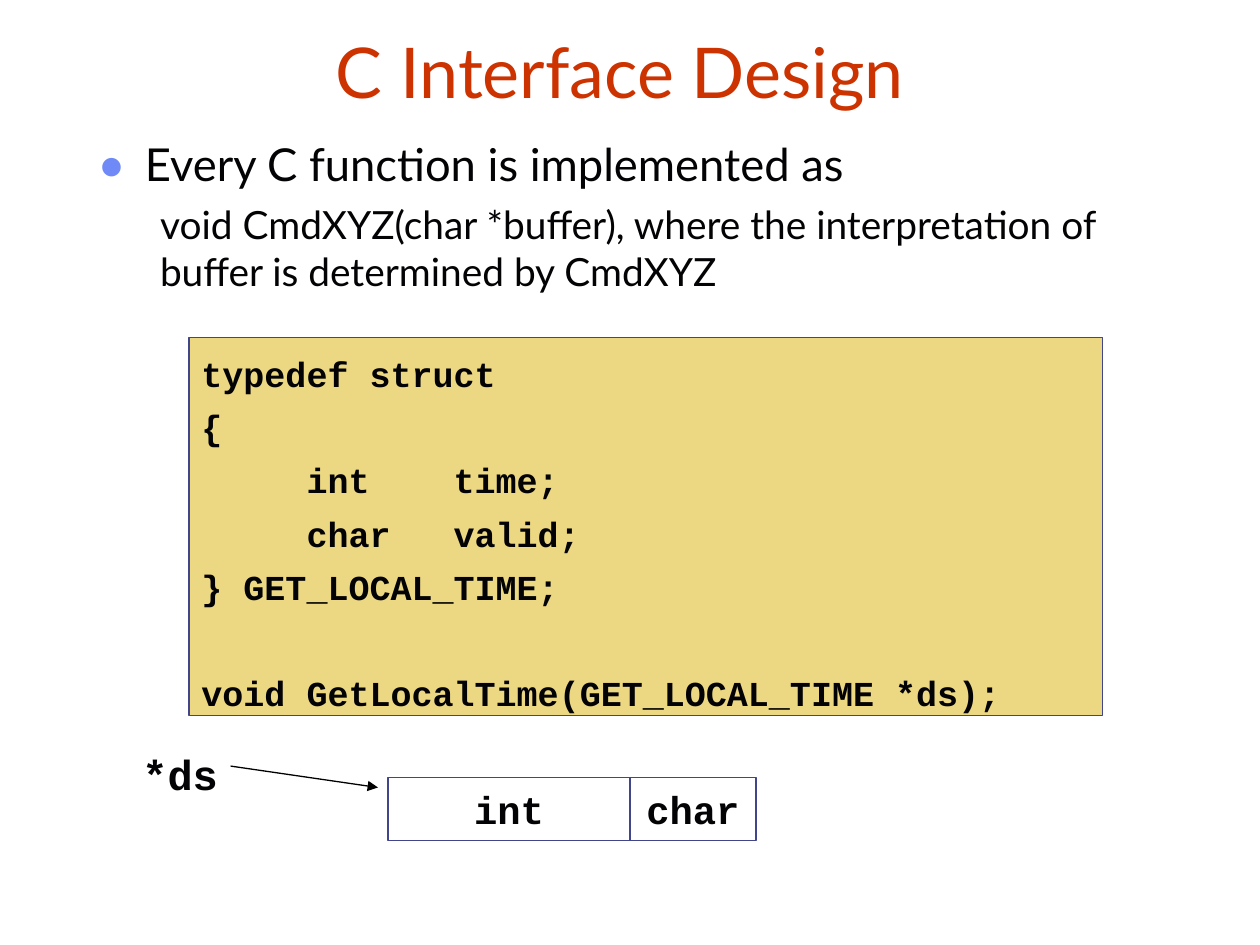
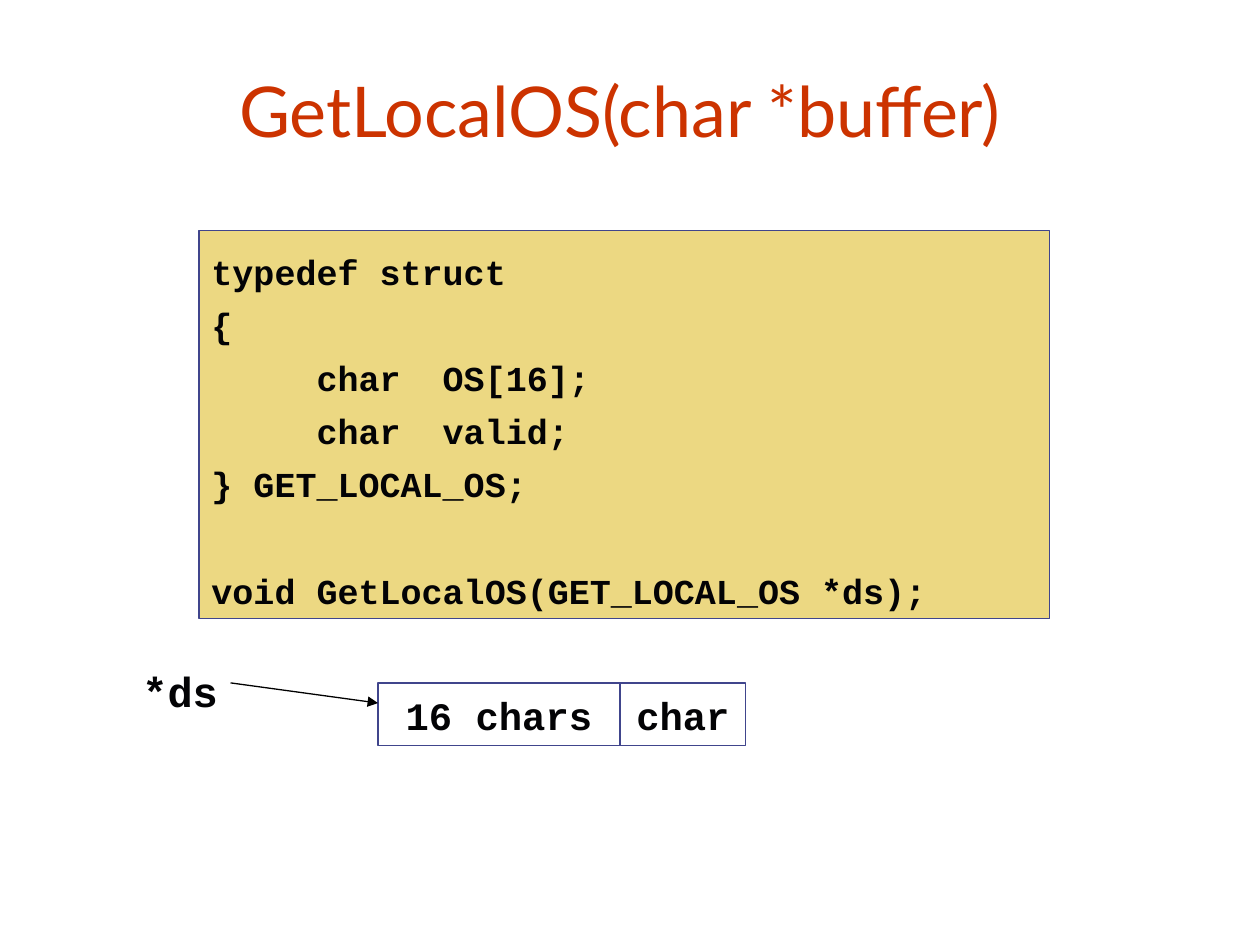
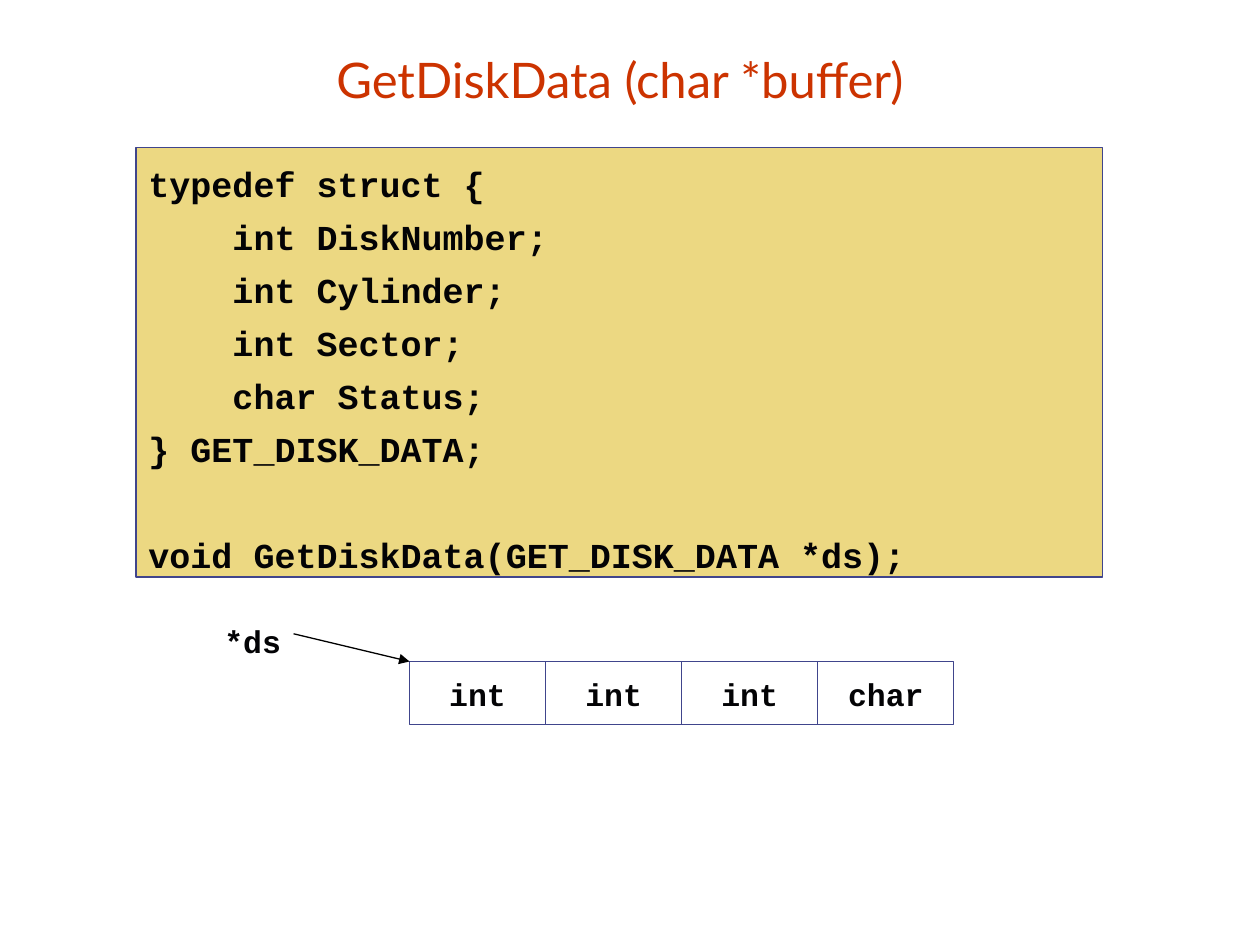
from dataclasses import dataclass

from lxml import etree
from pptx import Presentation
from pptx.dml.color import RGBColor
from pptx.enum.shapes import MSO_CONNECTOR, MSO_SHAPE
from pptx.enum.text import MSO_ANCHOR, MSO_AUTO_SIZE, PP_ALIGN
from pptx.oxml.ns import qn
from pptx.util import Inches, Pt

RECTANGLE = MSO_SHAPE.RECTANGLE
STRAIGHT = MSO_CONNECTOR.STRAIGHT
TOP, MIDDLE, BOTTOM = MSO_ANCHOR.TOP, MSO_ANCHOR.MIDDLE, MSO_ANCHOR.BOTTOM
LEFT, CENTER = PP_ALIGN.LEFT, PP_ALIGN.CENTER
NO_AUTOFIT = MSO_AUTO_SIZE.NONE
TITLE_AND_BODY, TITLE_ONLY = 1, 5


@dataclass(frozen=True)
class Theme:
    title: str = "CC3300"
    text: str = "030305"
    bullet: str = "6F89F7"
    code_fill: str = "ECD882"
    outline: str = "40458C"
    arrow: str = "000000"
    sans: str = "Lato"
    mono: str = "Courier New"
    point_size: float = 25.9
    detail_size: float = 22.2
    code_size: float = 20
    code_gap: float = 6.3
    line_width: float = 0.75


THEME = Theme()

# Boxes are (left, top, width, height) in inches.
SLIDES = [
    {
        "title": "C Interface Design",
        "title_size": 40,
        "title_height": 0.61,
        "body": (
            "Every C function is implemented as",
            "void CmdXYZ(char *buffer), where the interpretation of "
            "buffer is determined by CmdXYZ",
        ),
        "code": """typedef struct
{
     int    time;
     char   valid;
} GET_LOCAL_TIME;
 
void GetLocalTime(GET_LOCAL_TIME *ds);""",
        "code_box": (1.5, 2.68, 7.25, 3),
        "fields": [("int", 1.92), ("char", 1)],
        "fields_at": (3.08, 6.17),
        "field_size": 22.2,
        "field_spacing": 0.9,
        "pointer_box": (1.03, 5.83, 0.8, 0.5),
        "pointer_size": 24,
        "arrow": ((1.83, 6.08), (3, 6.25)),
    },
    {
        "title": "GetLocalOS(char *buffer)",
        "title_size": 40,
        "title_height": 0.92,
        "code": """typedef struct
{
     char  OS[16];
     char  valid;
} GET_LOCAL_OS;
 
void GetLocalOS(GET_LOCAL_OS *ds);""",
        "code_box": (1.58, 1.83, 6.75, 3.08),
        "fields": [("16 chars", 1.92), ("char", 1)],
        "fields_at": (3, 5.42),
        "field_size": 22.2,
        "field_spacing": 0.9,
        "pointer_box": (1.03, 5.17, 0.8, 0.5),
        "pointer_size": 24,
        "arrow": ((1.83, 5.42), (3, 5.58)),
    },
    {
        "title": "GetDiskData (char *buffer)",
        "title_size": 28,
        "title_height": 0.58,
        "code": """typedef struct {
    int DiskNumber;
    int Cylinder;
    int Sector;
    char Status;
} GET_DISK_DATA;
 
void GetDiskData(GET_DISK_DATA *ds);""",
        "code_box": (1.08, 1.17, 7.67, 3.41),
        "fields": [(kind, 1.08) for kind in ("int", "int", "int", "char")],
        "fields_at": (3.25, 5.25),
        "field_size": 18,
        "field_spacing": 1.0,
        "pointer_box": (1.68, 4.83, 0.65, 0.4),
        "pointer_size": 18,
        "arrow": ((2.33, 5.03), (3.25, 5.25)),
    },
]


def rgb(color):
    return RGBColor.from_string(color)


def set_all(target, values):
    for name, value in values.items():
        setattr(target, name, value)


def place(shape, box):
    names = ("left", "top", "width", "height")
    set_all(shape, dict(zip(names, map(Inches, box))))


def set_frame(shape, anchor, top=0.05, wrap=True):
    set_all(shape.text_frame, {
        "margin_left": Inches(0.1), "margin_right": Inches(0.1),
        "margin_top": Inches(top), "margin_bottom": Inches(0.05),
        "vertical_anchor": anchor, "word_wrap": wrap,
        "auto_size": NO_AUTOFIT,
    })


def write(paragraph, text, size, font=THEME.mono, color=THEME.text, bold=True,
          align=CENTER, before=0, spacing=1.0):
    set_all(paragraph, {"alignment": align, "space_before": Pt(before),
                        "space_after": Pt(0), "line_spacing": spacing})
    run = paragraph.add_run()
    run.text = text
    set_all(run.font, {"name": font, "size": Pt(size), "bold": bold})
    run.font.color.rgb = rgb(color)


def paragraphs(frame, count):
    return [frame.paragraphs[0]] + [frame.add_paragraph() for _ in range(count - 1)]


def set_bullet(paragraph, margin, indent, char=None):
    properties = paragraph._p.get_or_add_pPr()
    properties.set("marL", str(Inches(margin)))
    properties.set("indent", str(Inches(indent)))
    if char is None:
        etree.SubElement(properties, qn("a:buNone"))
        return
    color = etree.SubElement(properties, qn("a:buClr"))
    etree.SubElement(color, qn("a:srgbClr"), val=THEME.bullet)
    etree.SubElement(properties, qn("a:buSzPct"), val="110000")
    etree.SubElement(properties, qn("a:buFont"), typeface=THEME.sans)
    etree.SubElement(properties, qn("a:buChar"), char=char)


def add_title(slide, content):
    title = slide.shapes.title
    place(title, (0.67, 0.33, 8.5, content["title_height"]))
    set_frame(title, BOTTOM)
    write(title.text_frame.paragraphs[0], content["title"], content["title_size"],
          font=THEME.sans, color=THEME.title, bold=False)


def add_body(slide, lines):
    body = slide.placeholders[1]
    place(body, (0.67, 1.03, 8.75, 1.42))
    set_frame(body, TOP)
    point, detail = paragraphs(body.text_frame, len(lines))
    detail.level = 1
    set_bullet(point, 0.38, -0.38, "•")
    set_bullet(detail, 0.5, 0)
    style = {"font": THEME.sans, "bold": False, "align": LEFT}
    write(point, lines[0], THEME.point_size, **style)
    write(detail, lines[1], THEME.detail_size, before=6, **style)


def add_box(slide, box, fill=None):
    """Add an outlined rectangle, hollow unless a fill is given."""
    shape = slide.shapes.add_shape(RECTANGLE, *map(Inches, box))
    shape.shadow.inherit = False
    if fill:
        shape.fill.solid()
        shape.fill.fore_color.rgb = rgb(fill)
    else:
        shape.fill.background()
    shape.line.color.rgb = rgb(THEME.outline)
    shape.line.width = Pt(THEME.line_width)
    return shape


def add_code(slide, content):
    panel = add_box(slide, content["code_box"], THEME.code_fill)
    set_frame(panel, MIDDLE, top=0.15)
    lines = content["code"].split("\n")
    for row, (paragraph, line) in enumerate(
            zip(paragraphs(panel.text_frame, len(lines)), lines)):
        write(paragraph, line, THEME.code_size, align=LEFT,
              before=THEME.code_gap if row else 0)


def add_memory_layout(slide, content):
    """Draw the struct fields side by side, left to right."""
    left, top = content["fields_at"]
    for kind, width in content["fields"]:
        field = add_box(slide, (left, top, width, 0.5))
        set_frame(field, TOP, top=0.11)
        write(field.text_frame.paragraphs[0], kind, content["field_size"],
              spacing=content["field_spacing"])
        left += width


def add_pointer(slide, content):
    label = slide.shapes.add_textbox(*map(Inches, content["pointer_box"]))
    set_frame(label, TOP, top=0.11, wrap=False)
    write(label.text_frame.paragraphs[0], "*ds", content["pointer_size"])

    start, end = content["arrow"]
    arrow = slide.shapes.add_connector(STRAIGHT, *map(Inches, start + end))
    arrow.line.color.rgb = rgb(THEME.arrow)
    arrow.line.width = Pt(THEME.line_width)
    etree.SubElement(arrow.line._get_or_add_ln(), qn("a:tailEnd"), type="triangle")
    etree.SubElement(arrow._element.spPr, qn("a:effectLst"))


def main():
    deck = Presentation()
    deck.slide_width, deck.slide_height = Inches(10), Inches(7.5)
    for content in SLIDES:
        layout = TITLE_AND_BODY if "body" in content else TITLE_ONLY
        slide = deck.slides.add_slide(deck.slide_layouts[layout])
        add_title(slide, content)
        if "body" in content:
            add_body(slide, content["body"])
        add_code(slide, content)
        add_memory_layout(slide, content)
        add_pointer(slide, content)
    deck.save("out.pptx")


if __name__ == "__main__":
    main()
